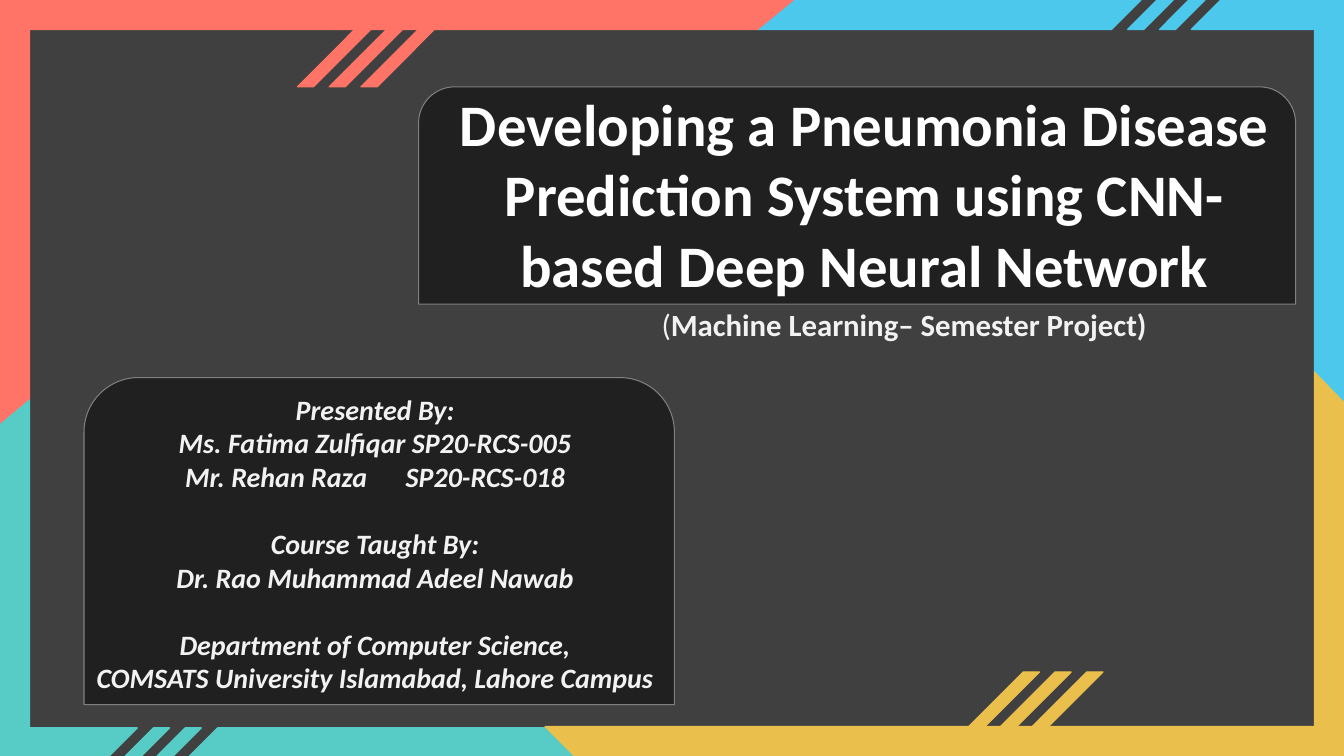
"""Build the title slide of a machine learning semester project."""
from dataclasses import dataclass

from lxml import etree
from pptx import Presentation
from pptx import util as u
from pptx.dml.color import RGBColor
from pptx.enum import shapes, text
from pptx.oxml.ns import qn

Point = tuple[float, float]
Ring = list[Point]


@dataclass(frozen=True)
class Theme:
    font: str = "Calibri"
    back: str = "404040"
    panel: str = "202020"
    edge: str = "808080"
    white: str = "FFFFFF"
    pale: str = "F2F2F2"
    red: str = "FF7467"
    blue: str = "4CC8EC"
    gold: str = "EABF4C"
    teal: str = "57CCC6"
    head: float = 42
    sub: float = 22
    body: float = 20


@dataclass(frozen=True)
class Box:
    left: float
    top: float
    width: float
    height: float

    def emu(self) -> list[int]:
        return [u.Pt(n) for n in (self.left, self.top, self.width, self.height)]


@dataclass(frozen=True)
class Band:
    color: str
    rings: list[Ring]


@dataclass(frozen=True)
class Run:
    text: str
    bold: bool = True


@dataclass(frozen=True)
class Para:
    runs: list[Run]
    before: float = 0
    tab: float = 0


@dataclass(frozen=True)
class Style:
    size: float
    color: str
    italic: bool = False


T = Theme()
WIDE, HIGH = 960, 540
RIM = 21
RIGHT, LOW = WIDE - RIM, HIGH - RIM
STEP, THICK = 22.7, 11.4


def slash(left: float, top: float, low: float, count: int) -> list[Ring]:
    drop = low - top
    return [
        [(x, top), (x + THICK, top), (x + THICK - drop, low), (x - drop, low)]
        for x in (left + STEP * i for i in range(count))
    ]


BANDS = [
    Band(T.teal, [[(155.5, 520), (425, 520), (425, HIGH), (135.5, HIGH)],
                  [(22, 520), (98, 520), (78, HIGH), (2, HIGH)],
                  *slash(109.6, 520, HIGH, 2)]),
    Band(T.gold, [[(WIDE, 286), (WIDE, HIGH), (RIGHT, LOW), (RIGHT, 264.5)]]),
    Band(T.blue, [[(872, 0), (WIDE, 0), (RIGHT, RIM), (851, RIM)],
                  [(566, 0), (815, 0), (794, RIM), (541, RIM)],
                  *slash(826.6, 0, RIM, 2)]),
    Band(T.red, [[(0, 0), (566.5, 0), (541, RIM), (RIM, RIM), (0, 1)],
                 *slash(253.5, RIM, 62, 3)]),
    Band(T.blue, [[(WIDE, 0), (WIDE, 286), (RIGHT, 264.5), (RIGHT, RIM)]]),
    Band(T.gold, [[(389.5, LOW), (RIGHT, LOW), (WIDE, HIGH), (410.5, HIGH)],
                  *slash(731, 480, LOW, 3)]),
    Band(T.teal, [[(RIM, 285), (RIM, 520), (23, 520), (2, HIGH), (0, HIGH), (0, 303)]]),
    Band(T.red, [[(0, 0), (RIM, RIM), (RIM, 284.5), (0, 302)]]),
]

PANELS = [Box(299, 62, 626.5, 155.3), Box(60, 269.7, 421.7, 233.6)]

HEAD = [Para([Run("Developing a Pneumonia Disease Prediction System using "
                  "CNN-based Deep Neural Network")])]
SUB = [Para([Run("(", False), Run("Machine Learning– Semester Project)")])]
BODY = [
    Para([Run("Presented By:")]),
    Para([Run("Ms. Fatima Zulfiqar SP20-RCS-005")]),
    Para([Run("Mr. Rehan Raza\tSP20-RCS-018")], tab=157.5),
    Para([Run("Course Taught By:")], before=24),
    Para([Run("Dr. Rao Muhammad Adeel Nawab")]),
    Para([Run("Department of Computer Science,")], before=24),
    Para([Run("COMSATS University Islamabad, Lahore Campus")]),
]


def paint(shape, fill: str, line: str, width: float) -> None:
    shape.shadow.inherit = False
    shape.fill.solid()
    shape.fill.fore_color.rgb = RGBColor.from_string(fill)
    shape.line.color.rgb = RGBColor.from_string(line)
    shape.line.width = u.Pt(width)


def draw_band(slide, band: Band) -> None:
    rings = [[(u.Pt(x), u.Pt(y)) for x, y in ring] for ring in band.rings]
    pen = slide.shapes.build_freeform(*rings[0][0], scale=1.0)
    pen.add_line_segments(rings[0][1:], close=True)
    for ring in rings[1:]:
        pen.move_to(*ring[0])
        pen.add_line_segments(ring[1:], close=True)
    paint(pen.convert_to_shape(), band.color, band.color, 1)


def draw_panel(slide, box: Box) -> None:
    kind = shapes.MSO_SHAPE.ROUND_2_SAME_RECTANGLE
    paint(slide.shapes.add_shape(kind, *box.emu()), T.panel, T.edge, 0.75)


def write(shape, paras: list[Para], style: Style) -> None:
    frame = shape.text_frame
    frame.word_wrap = True
    frame.auto_size = text.MSO_AUTO_SIZE.SHAPE_TO_FIT_TEXT
    frame.vertical_anchor = text.MSO_ANCHOR.TOP
    for i, para in enumerate(paras):
        line = frame.add_paragraph() if i else frame.paragraphs[0]
        line.alignment = text.PP_ALIGN.CENTER
        if para.before:
            line.space_before = u.Pt(para.before)
        if para.tab:
            tabs = etree.SubElement(line._p.get_or_add_pPr(), qn("a:tabLst"))
            etree.SubElement(tabs, qn("a:tab"), pos=str(u.Pt(para.tab)), algn="l")
        for part in para.runs:
            run = line.add_run()
            run.text = part.text
            font = run.font
            font.name = T.font
            font.size = u.Pt(style.size)
            font.bold = part.bold
            font.italic = style.italic
            font.color.rgb = RGBColor.from_string(style.color)


def main() -> None:
    deck = Presentation()
    deck.slide_width, deck.slide_height = u.Pt(WIDE), u.Pt(HIGH)
    slide = deck.slides.add_slide(deck.slide_layouts[5])
    slide.background.fill.solid()
    slide.background.fill.fore_color.rgb = RGBColor.from_string(T.back)
    for band in BANDS:
        draw_band(slide, band)
    for box in PANELS:
        draw_panel(slide, box)

    title = slide.shapes.title
    title.element.getparent().append(title.element)
    title.left, title.top, title.width, title.height = Box(306.7, 59, 621.4, 160).emu()
    write(title, HEAD, Style(T.head, T.white))
    sub = slide.shapes.add_textbox(*Box(325.4, 214.6, 640.8, 33.8).emu())
    write(sub, SUB, Style(T.sub, T.pale))
    body = slide.shapes.add_textbox(*Box(56.2, 276.5, 423.4, 247).emu())
    write(body, BODY, Style(T.body, T.pale, italic=True))
    deck.save("out.pptx")


if __name__ == "__main__":
    main()
